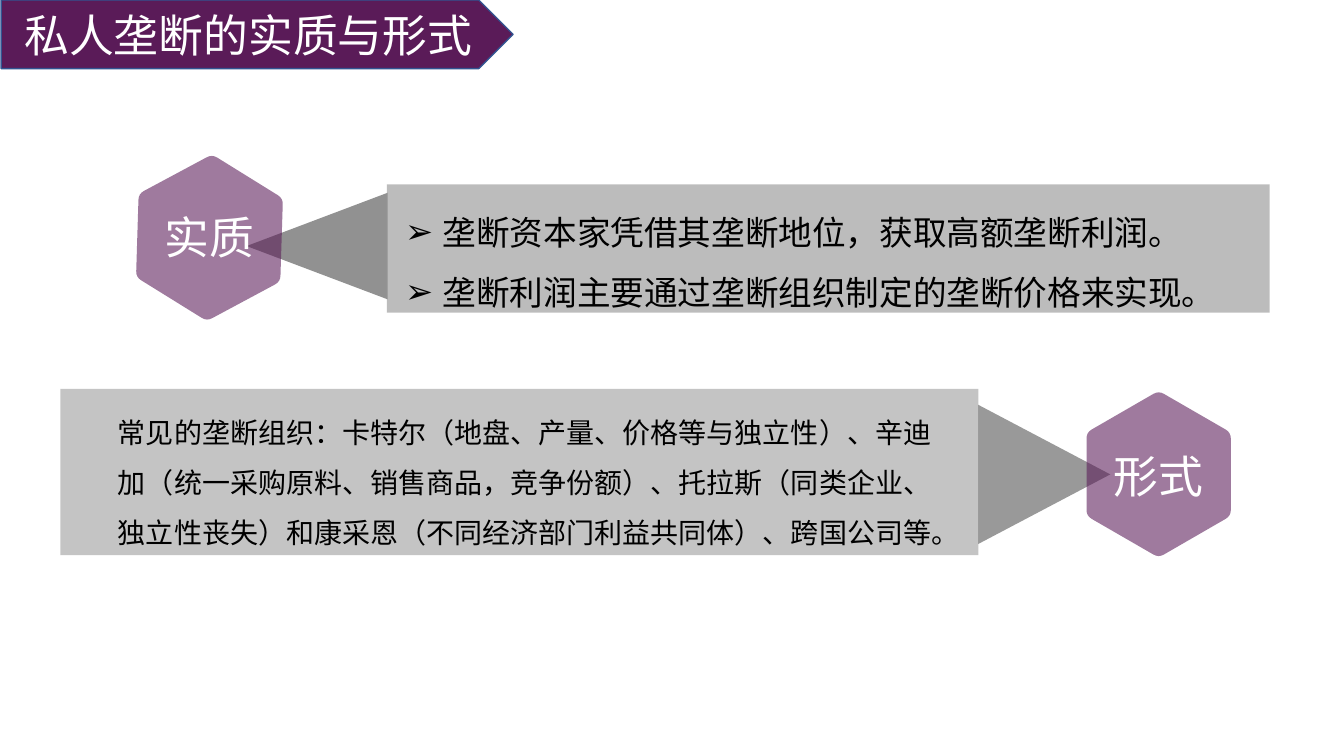
from math import cos, radians, sin

from lxml.etree import SubElement
from pptx import Presentation
from pptx.dml.color import RGBColor
from pptx.enum.shapes import MSO_SHAPE
from pptx.enum.text import MSO_ANCHOR, MSO_AUTO_SIZE, PP_ALIGN
from pptx.oxml.ns import qn
from pptx.util import Cm, Pt

PURPLE = RGBColor(0x5A, 0x1B, 0x58)
NAVY = RGBColor(0x32, 0x54, 0x91)
SILVER = RGBColor(0xA6, 0xA6, 0xA6)
GRAY = RGBColor(0x80, 0x80, 0x80)
BLACK = RGBColor(0, 0, 0)
WHITE = RGBColor(0xFF, 0xFF, 0xFF)
CJK = "Noto Sans CJK SC"
HEADING = {"size": Pt(32), "name": CJK}
INDENT = Cm(0.95)


class SlideBuilder:
    """Draws styled elements on the current slide."""

    def __init__(self, slide):
        self.slide = slide

    def paint(self, sp, color, alpha=100, line=None):
        sp.shadow.inherit = False
        sp.fill.solid()
        sp.fill.fore_color.rgb = color
        if alpha < 100:
            clr = sp._element.spPr.find(qn("a:solidFill"))[0]
            SubElement(clr, qn("a:alpha"), val=str(alpha * 1000))
        if line is None:
            sp.line.fill.background()
        else:
            sp.line.color.rgb = line
            sp.line.width = Pt(1)

    def shape(self, kind, box, color, alpha=100, rotation=0, line=None):
        sp = self.slide.shapes.add_shape(kind, *map(Cm, box))
        sp.rotation = rotation
        self.paint(sp, color, alpha, line)
        return sp

    def hexagon(self, cx, cy, tilt=0, radius=2.1, trim=0.15):
        corners = [(cx + radius * sin(radians(a + tilt)), cy - radius * cos(radians(a + tilt)))
                   for a in range(0, 360, 60)]
        cut = trim / radius
        points = []
        for i, corner in enumerate(corners):
            before, after = corners[i - 1], corners[(i + 1) % 6]
            for t in (0, 0.25, 0.5, 0.75, 1):
                points.append(tuple(
                    Cm(c + cut * ((1 - t) ** 2 * (b - c) + t ** 2 * (a - c)))
                    for b, c, a in zip(before, corner, after)))
        builder = self.slide.shapes.build_freeform(*points[0])
        builder.add_line_segments(points[1:], close=True)
        self.paint(builder.convert_to_shape(), PURPLE, 58)

    def text(self, box, lines, font, color, **style):
        tf = self.slide.shapes.add_textbox(*map(Cm, box)).text_frame
        tf.word_wrap = True
        tf.auto_size = MSO_AUTO_SIZE.SHAPE_TO_FIT_TEXT
        self.fill_text(tf, lines, font, color, **style)

    def fill_text(self, tf, lines, font, color, align=PP_ALIGN.LEFT, spacing=None,
                  indent=False, bullet=None):
        for i, line in enumerate(lines):
            p = tf.add_paragraph() if i else tf.paragraphs[0]
            p.alignment = align
            p.line_spacing = spacing
            pPr = p._p.get_or_add_pPr()
            if indent:
                pPr.set("marL", str(int(INDENT)))
            if bullet:
                pPr.set("indent", str(-int(INDENT)))
                SubElement(pPr, qn("a:buFont"), typeface="Arial")
                SubElement(pPr, qn("a:buChar"), char=bullet)
            r = p.add_run()
            r.text = line
            for key, value in font.items():
                setattr(r.font, key, value)
            r.font.color.rgb = color
            SubElement(r._r.get_or_add_rPr(), qn("a:ea"), typeface=CJK)


def main():
    prs = Presentation()
    prs.slide_width, prs.slide_height = Cm(33.87), Cm(19.05)
    s = SlideBuilder(prs.slides.add_slide(prs.slide_layouts[6]))

    s.shape(MSO_SHAPE.ISOSCELES_TRIANGLE, (24.56, 10.29, 3.51, 3.33), GRAY, 80, 90)
    s.shape(MSO_SHAPE.RECTANGLE, (1.52, 9.8, 23.14, 4.19), SILVER, 66)
    s.hexagon(29.2, 11.95)
    s.text((1.7, 9.91, 22.1, 4.11),
           ["常见的垄断组织：卡特尔（地盘、产量、价格等与独立性）、辛迪加（统一采购原料、销售商品，"
            "竞争份额）、托拉斯（同类企业、独立性丧失）和康采恩（不同经济部门利益共同体）、跨国公司等。"],
           {"size": Pt(20), "name": CJK}, BLACK,
           align=PP_ALIGN.CENTER, spacing=1.5, indent=True)

    s.shape(MSO_SHAPE.ISOSCELES_TRIANGLE, (6.65, 4.42, 2.69, 3.56), GRAY, 86, 270)
    s.shape(MSO_SHAPE.RECTANGLE, (9.75, 4.65, 22.25, 3.23), SILVER, 75)
    s.text((9.96, 4.7, 21.51, 4.19),
           ["垄断资本家凭借其垄断地位，获取高额垄断利润。",
            "垄断利润主要通过垄断组织制定的垄断价格来实现。"],
           {"size": Pt(24), "name": CJK}, BLACK, spacing=1.5, indent=True, bullet="➢")

    s.text((27.43, 11.18, 3.53, 2.31), ["形式"], {"size": Pt(32), "name": "Arial"}, WHITE,
           align=PP_ALIGN.CENTER)
    title = s.shape(MSO_SHAPE.PENTAGON, (0.03, 0, 12.9, 1.73), PURPLE, line=NAVY)
    title.text_frame.vertical_anchor = MSO_ANCHOR.MIDDLE
    s.fill_text(title.text_frame, ["私人垄断的实质与形式"], HEADING, WHITE, align=PP_ALIGN.CENTER)
    s.hexagon(5.28, 5.99, tilt=1.8)
    s.text((3.89, 5.16, 2.79, 1.63), ["实质"], HEADING, WHITE)

    prs.save("out.pptx")


if __name__ == "__main__":
    main()
